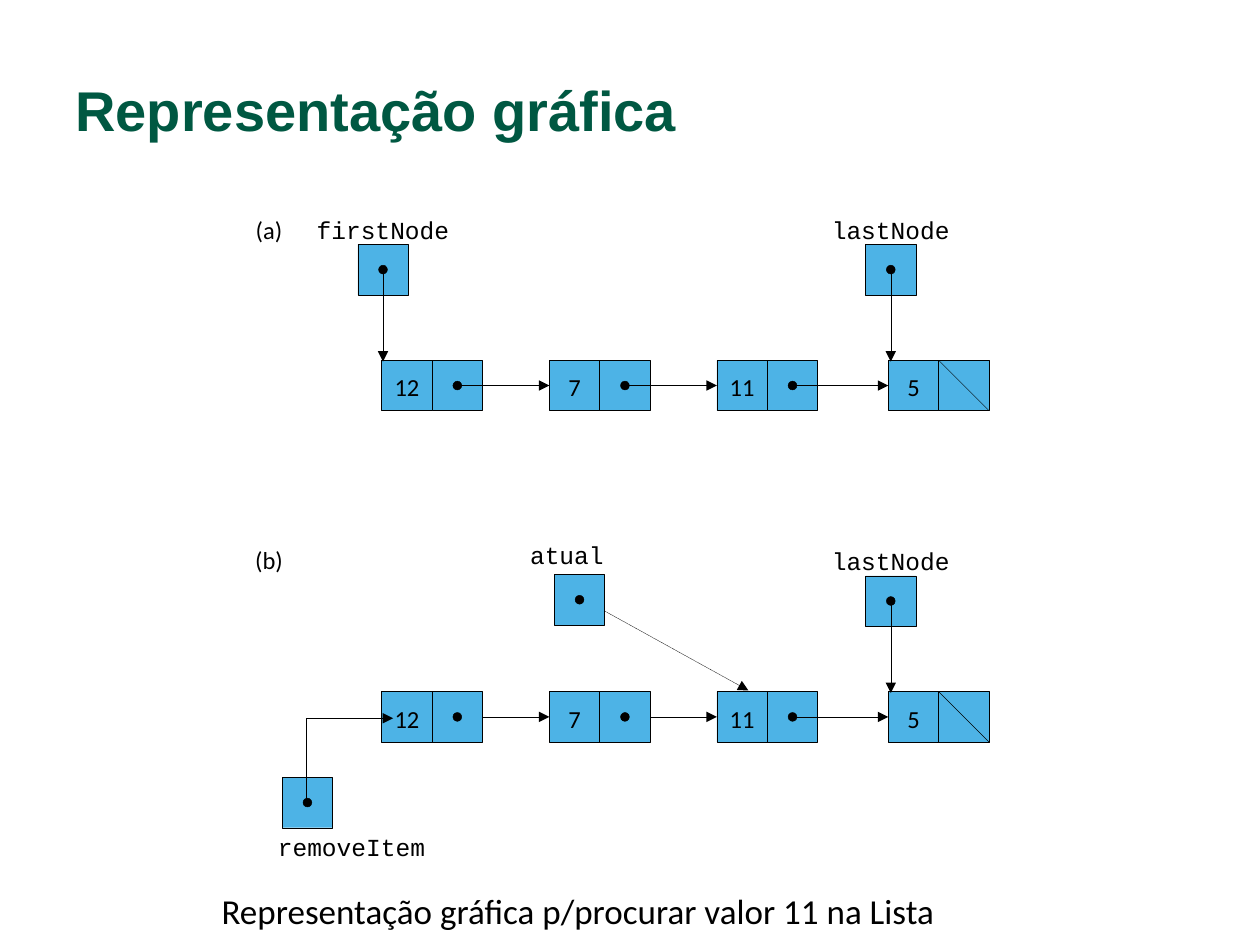
from lxml.etree import SubElement
from pptx import Presentation
from pptx.dml.color import RGBColor
from pptx.enum.dml import MSO_LINE
from pptx.enum.shapes import MSO_CONNECTOR, MSO_SHAPE
from pptx.enum.text import MSO_ANCHOR, PP_ALIGN
from pptx.oxml.ns import qn
from pptx.util import Inches, Pt

BLACK, BLUE, GREEN = "000000", "4DB3E6", "005842"
SANS, MONO = "Calibri", "Courier New"
CELL = 0.4
DOT = 0.07
NODES = [("12", 3.03), ("7", 4.36), ("11", 5.69), ("5", 7.05)]


def color(hex_string):
    return RGBColor.from_string(hex_string)


def add_text(slide, text, box, size=14, font=SANS, hex_color=BLACK, bold=False,
             align=PP_ALIGN.CENTER, spacing=0.8, inset=(0, 0), wrap=True):
    text_box = slide.shapes.add_textbox(*map(Inches, box))
    frame = text_box.text_frame
    frame.word_wrap = wrap
    frame.vertical_anchor = MSO_ANCHOR.TOP
    frame.margin_left = frame.margin_right = Inches(inset[0])
    frame.margin_top = frame.margin_bottom = Inches(inset[1])
    paragraph = frame.paragraphs[0]
    paragraph.alignment = align
    paragraph.line_spacing = spacing
    run = paragraph.add_run()
    run.text = text
    run.font.name = font
    run.font.size = Pt(size)
    run.font.bold = bold
    run.font.color.rgb = color(hex_color)


def style_line(line):
    line.color.rgb = color(BLACK)
    line.width = Pt(0.25)


def add_filled(slide, kind, box, fill):
    shape = slide.shapes.add_shape(kind, *map(Inches, box))
    shape.shadow.inherit = False
    shape.fill.solid()
    shape.fill.fore_color.rgb = color(fill)
    style_line(shape.line)


def add_cell(slide, left, top):
    add_filled(slide, MSO_SHAPE.RECTANGLE, (left, top, CELL, CELL), BLUE)


def add_dot(slide, left, top):
    """Draw a dot in the middle of the cell at left, top."""
    offset = (CELL - DOT) / 2
    add_filled(slide, MSO_SHAPE.OVAL, (left + offset, top + offset, DOT, DOT), BLACK)


def add_arrowhead(line):
    line_properties = line._get_or_add_ln()
    SubElement(line_properties, qn("a:tailEnd"), type="triangle")


def add_line(slide, start, end, arrow=True, dotted=False):
    connector = slide.shapes.add_connector(
        MSO_CONNECTOR.STRAIGHT, *map(Inches, (*start, *end)))
    style_line(connector.line)
    if dotted:
        connector.line.dash_style = MSO_LINE.ROUND_DOT
    if arrow:
        add_arrowhead(connector.line)
    SubElement(connector._element.spPr, qn("a:effectLst"))


def add_elbow_arrow(slide, points):
    start, *others = [tuple(map(Inches, point)) for point in points]
    builder = slide.shapes.build_freeform(*start)
    builder.add_line_segments(others, close=False)
    shape = builder.convert_to_shape()
    shape.shadow.inherit = False
    shape.fill.background()
    style_line(shape.line)
    add_arrowhead(shape.line)


def add_linked_list(slide, top, edge_links=()):
    """Draw the row of nodes; links of the named nodes start at the node's edge."""
    middle = top + CELL / 2
    for value, left in NODES:
        add_cell(slide, left, top)
        add_cell(slide, left + CELL, top)
        add_text(slide, value, (left + 0.09, top + 0.14, 0.22, 0.17))
    for (value, left), (_, next_left) in zip(NODES, NODES[1:]):
        add_dot(slide, left + CELL, top)
        start = left + CELL * (2 if value in edge_links else 1.5)
        add_line(slide, (start, middle), (next_left, middle))
    last_pointer = NODES[-1][1] + CELL
    add_line(slide, (last_pointer, top), (last_pointer + CELL, top + CELL), arrow=False)


def add_pointer(slide, name, left, top, label_box):
    add_cell(slide, left, top)
    add_dot(slide, left, top)
    add_text(slide, name, label_box, font=MONO)


def add_pointer_down(slide, name, left, top, list_top):
    """Draw a named pointer whose arrow drops to the list below."""
    add_pointer(slide, name, left, top, (left - 0.37, top - 0.19, 1.14, 0.17))
    center = left + CELL / 2
    add_line(slide, (center, top + CELL / 2), (center, list_top + 0.01))


def add_initial_list(slide, top):
    add_text(slide, "(a)", (1.99, top - 1.11, 0.29, 0.21))
    add_linked_list(slide, top)
    add_pointer_down(slide, "firstNode", 2.84, top - 0.92, top)
    add_pointer_down(slide, "lastNode", 6.87, top - 0.92, top)


def add_search_list(slide, top):
    add_text(slide, "(b)", (1.99, top - 1.12, 0.29, 0.21))
    add_linked_list(slide, top, edge_links=("12", "7"))
    add_pointer_down(slide, "lastNode", 6.87, top - 0.92, top)
    add_line(slide, (4.8, top - 0.64), (5.94, top - 0.01), dotted=True)
    add_pointer(slide, "atual", 4.4, top - 0.93, (3.93, top - 1.16, 1.14, 0.17))
    add_pointer(slide, "removeItem", 2.24, top + 0.68, (1.88, top + 1.16, 1.82, 0.28))
    add_elbow_arrow(slide, [(2.43, top + 0.86), (2.43, top + 0.21), (3.12, top + 0.21)])


def main():
    presentation = Presentation()
    presentation.slide_width, presentation.slide_height = Inches(10), Inches(7.5)
    slide = presentation.slides.add_slide(presentation.slide_layouts[6])
    add_text(slide, "Representação gráfica", (0.5, 0.55, 9, 1), size=32, font="Arial",
             hex_color=GREEN, bold=True, align=PP_ALIGN.LEFT, spacing=1, inset=(0.1, 0.05))
    add_initial_list(slide, 2.86)
    add_search_list(slide, 5.49)
    add_text(slide, "Representação gráfica p/procurar valor 11 na Lista",
             (1.66, 7.04, 6.49, 0.41), size=20, align=PP_ALIGN.LEFT, spacing=0.93,
             inset=(0.1, 0.05), wrap=False)
    presentation.save("out.pptx")


if __name__ == "__main__":
    main()
